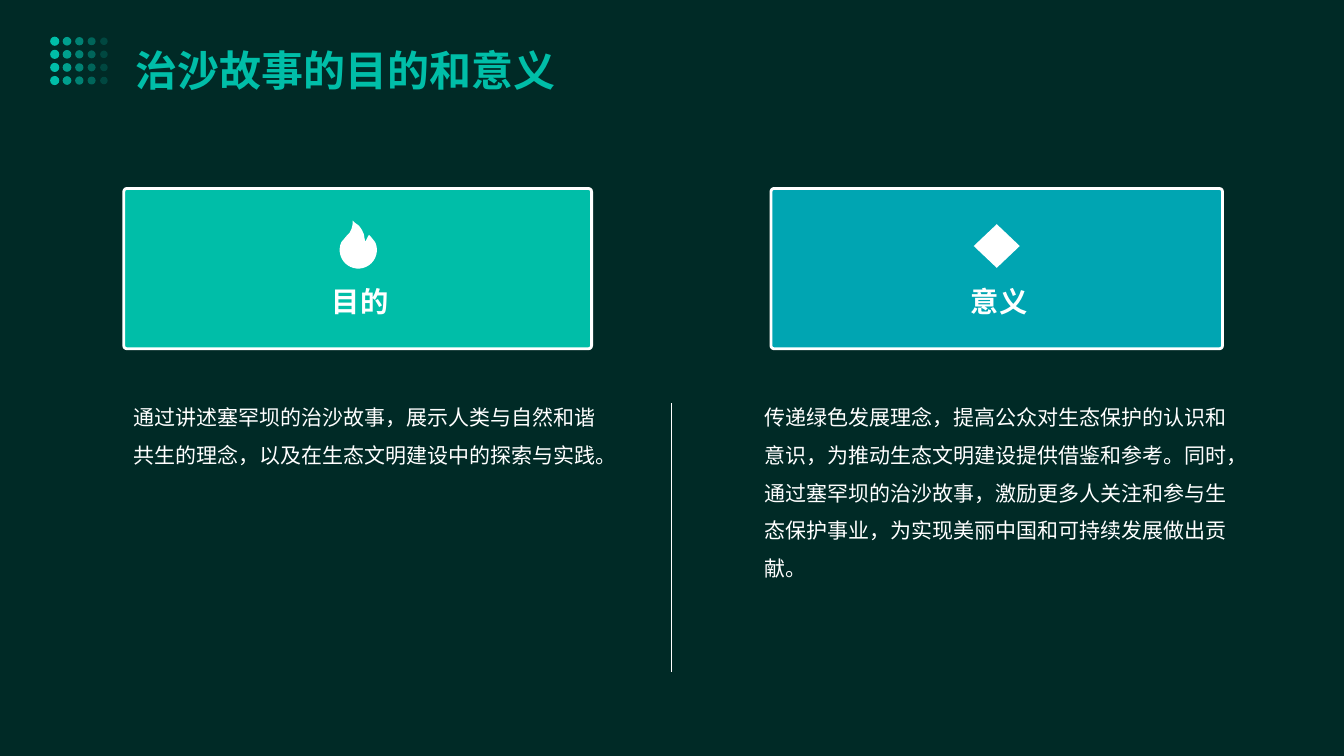
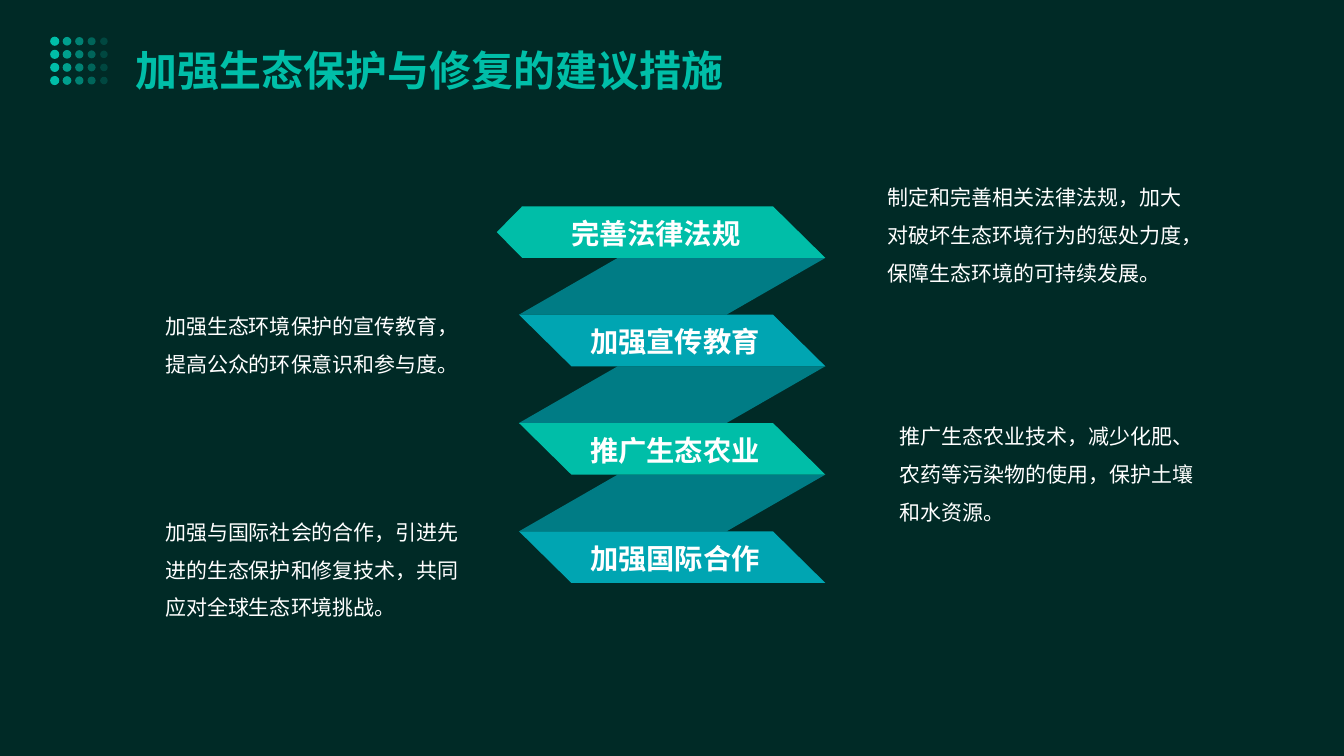
from math import cos, radians, sin

from lxml.etree import SubElement
from pptx import Presentation
from pptx.dml.color import RGBColor
from pptx.enum.shapes import MSO_CONNECTOR as Connector, MSO_SHAPE as Shape
from pptx.enum.text import PP_ALIGN as Align
from pptx.oxml.ns import qn
from pptx.util import Cm, Pt

COLORS = {
    "background": "002A26",
    "green": "00BEA8",
    "blue": "00A5B2",
    "fold": "007C85",
    "white": "FFFFFF",
}
FONT = "Noto Sans CJK SC"
STYLES = {
    "title": {
        "font": {"size": Pt(30), "bold": True},
        "paragraph": {"line_spacing": 1.4},
        "margins": (0.36, 0.36, 0.15, 0.36),
        "color": "green",
    },
    "label": {
        "font": {"size": Pt(20.2), "bold": True},
        "paragraph": {"alignment": Align.CENTER},
        "margins": (0.25, 0.25, 0.13, 0.25),
        "color": "white",
    },
    "body": {
        "font": {"size": Pt(15), "bold": False},
        "paragraph": {"line_spacing": 1.5},
        "margins": (0.25, 0.25, 0.13, 0.25),
        "color": "white",
    },
}

CARD_TOP, CARD_HEIGHT = 4.75, 4.04
CARDS = [
    (3.12, 11.79, 3.12, "green", "目的",
     "通过讲述塞罕坝的治沙故事，展示人类与自然和谐共生的理念，以及在生态文明建设中的探索与实践。"),
    (19.43, 11.38, 19.02, "blue", "意义",
     "传递绿色发展理念，提高公众对生态保护的认识和意识，为推动生态文明建设提供借鉴和参考。"
     "同时，通过塞罕坝的治沙故事，激励更多人关注和参与生态保护事业，为实现美丽中国和可持续发展做出贡献。"),
]
FLAME_RADIUS = 0.47
FLAME_TIP = [
    (-0.29, -0.36), (-0.22, -0.43), (-0.17, -0.53), (-0.14, -0.66),
    (-0.14, -0.74), (-0.09, -0.69), (0.02, -0.61), (0.09, -0.51),
    (0.14, -0.4), (0.17, -0.23), (0.19, -0.23), (0.24, -0.33),
    (0.27, -0.38), (0.32, -0.33),
]

RIBBON_LEFT, RIBBON_RIGHT = 13.08, 20.8
RIBBON_TOP, RIBBON_PITCH, RIBBON_HEIGHT = 5.2, 2.73, 1.3
RIBBON_SLANT = 1.32
MEASURES = [
    ("完善法律法规", "green", 13.34, 6.25, 22.12, 4.09,
     "制定和完善相关法律法规，加大对破坏生态环境行为的惩处力度，保障生态环境的可持续发展。"),
    ("加强宣传教育", "blue", 14.1, 5.69, 3.91, 7.34,
     "加强生态环境保护的宣传教育，提高公众的环保意识和参与度。"),
    ("推广生态农业", "green", 14.1, 5.69, 22.43, 10.11,
     "推广生态农业技术，减少化肥、农药等污染物的使用，保护土壤和水资源。"),
    ("加强国际合作", "blue", 14.1, 5.69, 3.91, 12.52,
     "加强与国际社会的合作，引进先进的生态保护和修复技术，共同应对全球生态环境挑战。"),
]


def rgb(color):
    return RGBColor.from_string(COLORS[color])


def paint(shape, color, line_width=0):
    shape.shadow.inherit = False
    shape.fill.solid()
    shape.fill.fore_color.rgb = rgb(color)
    if line_width:
        shape.line.color.rgb = rgb("white")
        shape.line.width = Pt(line_width)
    else:
        shape.line.fill.background()


def add_preset(shapes, kind, left, top, width, height, color, line_width=0):
    shape = shapes.add_shape(kind, Cm(left), Cm(top), Cm(width), Cm(height))
    paint(shape, color, line_width)
    return shape


def add_outline(slide, points, color):
    start, *rest = [(Cm(x), Cm(y)) for x, y in points]
    builder = slide.shapes.build_freeform(*start)
    builder.add_line_segments(rest, close=True)
    paint(builder.convert_to_shape(), color)


def add_text(slide, text, style_name, left, top, width, height):
    style = STYLES[style_name]
    box = slide.shapes.add_textbox(Cm(left), Cm(top), Cm(width), Cm(height))
    frame = box.text_frame
    frame.word_wrap = True
    for side, margin in zip(("left", "top", "right", "bottom"), style["margins"]):
        setattr(frame, f"margin_{side}", Cm(margin))
    paragraph = frame.paragraphs[0]
    for name, value in style["paragraph"].items():
        setattr(paragraph, name, value)
    run = paragraph.add_run()
    run.text = text
    for name, value in {"name": FONT, **style["font"]}.items():
        setattr(run.font, name, value)
    run.font.color.rgb = rgb(style["color"])
    SubElement(run.font._element, qn("a:ea"), typeface=FONT)


def add_divider(slide, x, top, bottom):
    line = slide.shapes.add_connector(
        Connector.STRAIGHT, Cm(x), Cm(top), Cm(x), Cm(bottom))
    line.line.color.rgb = rgb("white")
    line.line.width = Pt(0.75)
    SubElement(line._element.spPr, qn("a:effectLst"))


def add_dot_grid(slide):
    group = slide.shapes.add_group_shape()
    for row in range(4):
        for column in range(5):
            size = 0.23 - 0.01 * column
            left = 1.38 + 0.31 * column - size / 2
            top = 1.04 + 0.33 * row - size / 2
            dot = add_preset(group.shapes, Shape.OVAL, left, top, size, size, "green")
            if column:
                color = dot._element.spPr.find(f".//{qn('a:srgbClr')}")
                SubElement(color, qn("a:alpha"), val=str(100000 - 20000 * column))


def add_titled_slide(presentation, title):
    slide = presentation.slides.add_slide(presentation.slide_layouts[6])
    add_dot_grid(slide)
    add_text(slide, title, "title", 3.05, 0.25, 27.79, 2.54)
    return slide


def add_flame(slide, x, y):
    body = [(FLAME_RADIUS * cos(radians(angle)), FLAME_RADIUS * sin(radians(angle)))
            for angle in range(-25, 206, 10)]
    add_outline(slide, [(x + dx, y + dy) for dx, dy in body + FLAME_TIP], "white")


def add_card(slide, left, width, text_left, color, label, text):
    card = add_preset(slide.shapes, Shape.ROUNDED_RECTANGLE,
                      left, CARD_TOP, width, CARD_HEIGHT, color, 2)
    card.adjustments[0] = 0.02
    add_text(slide, label, "label", left, 6.91, width, 1.22)
    add_text(slide, text, "body", text_left, 9.63, 12.17, 7.65)


def add_ribbon(slide, index, color):
    top = RIBBON_TOP + index * RIBBON_PITCH
    bottom = top + RIBBON_HEIGHT
    right_edge = [(RIBBON_RIGHT - RIBBON_SLANT, top), (RIBBON_RIGHT, bottom)]
    if index:
        left_edge = [(RIBBON_LEFT + RIBBON_SLANT, bottom), (RIBBON_LEFT, top)]
    else:
        left_edge = [(13.16, bottom), (12.52, (top + bottom) / 2), (13.16, top)]
    add_outline(slide, right_edge + left_edge, color)


def add_fold(slide, index):
    top = RIBBON_TOP + index * RIBBON_PITCH + RIBBON_HEIGHT
    fold = add_preset(slide.shapes, Shape.PARALLELOGRAM, RIBBON_LEFT, top,
                      RIBBON_RIGHT - RIBBON_LEFT, RIBBON_PITCH - RIBBON_HEIGHT, "fold")
    fold.adjustments[0] = 1.74


def build_purpose_slide(presentation):
    slide = add_titled_slide(presentation, "治沙故事的目的和意义")
    for card in CARDS:
        add_card(slide, *card)
    add_flame(slide, 9.03, 6.3)
    add_preset(slide.shapes, Shape.DIAMOND, 24.54, 5.65, 1.16, 1.1, "white")
    add_divider(slide, 16.93, 10.16, 16.93)


def build_measures_slide(presentation):
    slide = add_titled_slide(presentation, "加强生态保护与修复的建议措施")
    for index in range(len(MEASURES) - 1):
        add_fold(slide, index)
    for index, measure in enumerate(MEASURES):
        label, color, label_left, label_width, text_left, text_top, text = measure
        add_ribbon(slide, index, color)
        add_text(slide, label, "label", label_left,
                 RIBBON_TOP + index * RIBBON_PITCH, label_width, 1.22)
        add_text(slide, text, "body", text_left, text_top, 8.13, 4.39)


def main():
    presentation = Presentation()
    presentation.slide_width = Cm(33.87)
    presentation.slide_height = Cm(19.05)
    background = presentation.slide_master.background.fill
    background.solid()
    background.fore_color.rgb = rgb("background")
    build_purpose_slide(presentation)
    build_measures_slide(presentation)
    presentation.save("out.pptx")


if __name__ == "__main__":
    main()
